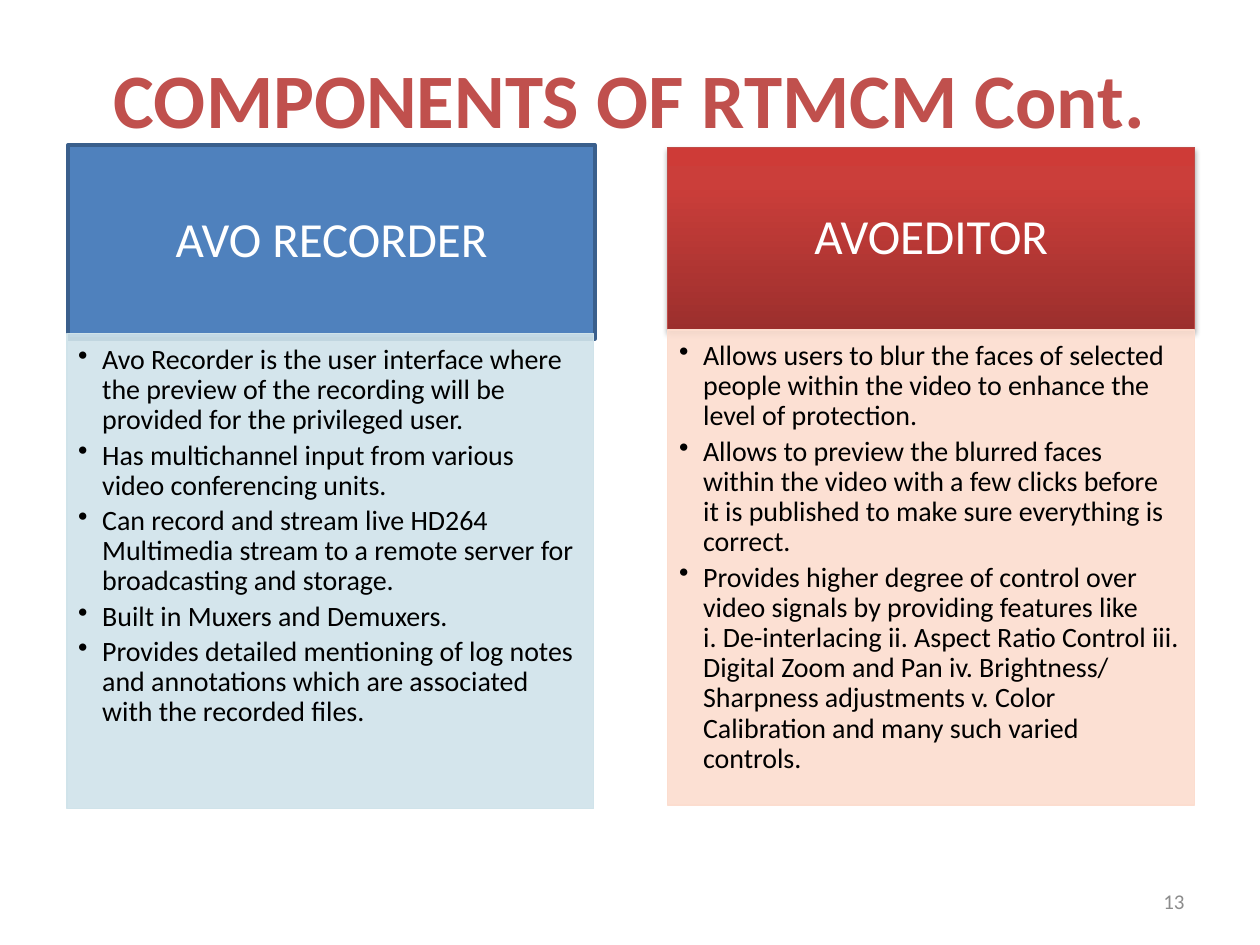
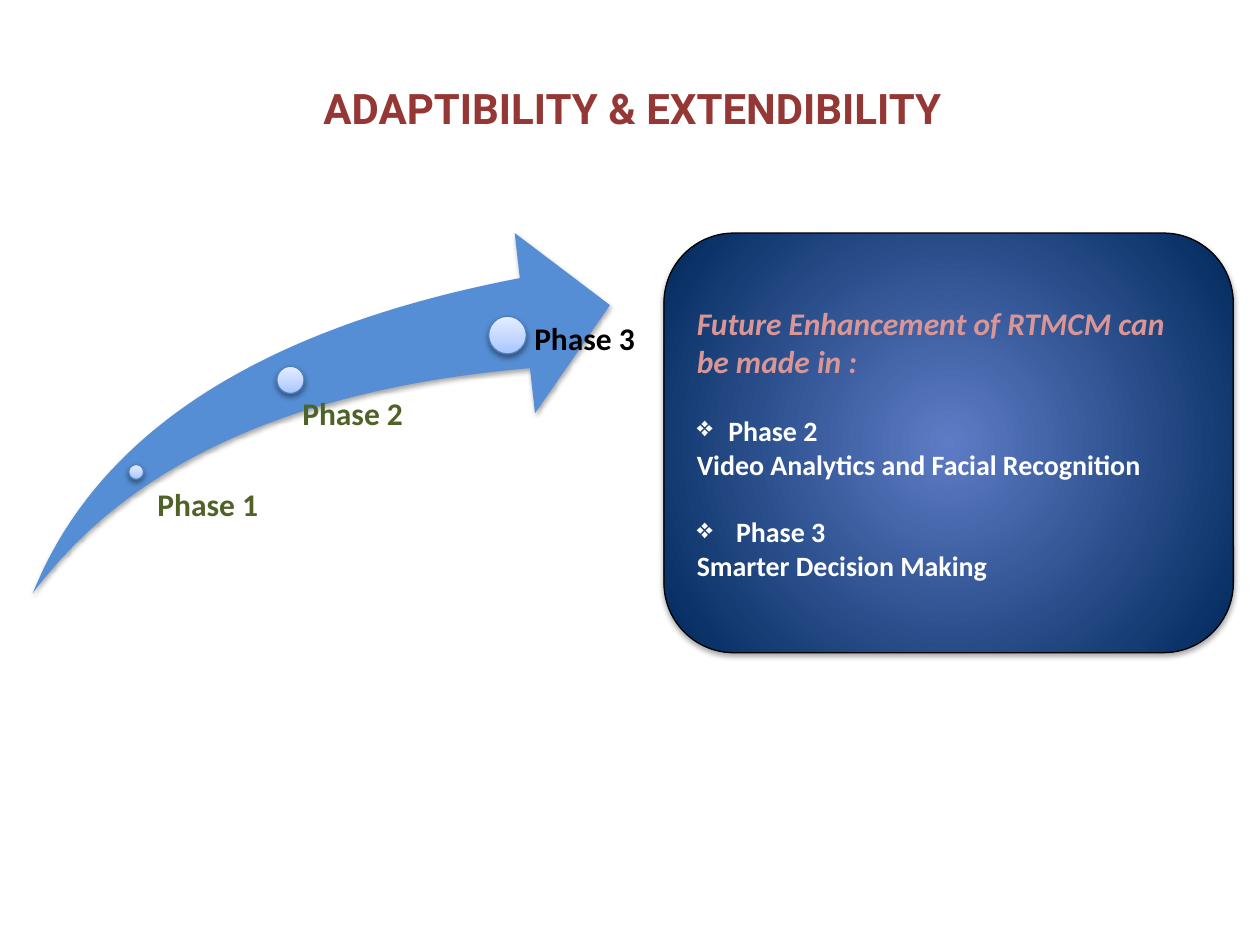
from lxml import etree
from pptx import Presentation
from pptx.dml.color import RGBColor
from pptx.enum.shapes import MSO_SHAPE
from pptx.enum.text import MSO_ANCHOR, PP_ALIGN
from pptx.oxml.ns import qn
from pptx.util import Pt

RECT, ROUNDED = MSO_SHAPE.RECTANGLE, MSO_SHAPE.ROUNDED_RECTANGLE
OVAL, SWOOSH = MSO_SHAPE.OVAL, MSO_SHAPE.SWOOSH_ARROW
TOP, MIDDLE = MSO_ANCHOR.TOP, MSO_ANCHOR.MIDDLE
LEFT, CENTER, RIGHT = PP_ALIGN.LEFT, PP_ALIGN.CENTER, PP_ALIGN.RIGHT

COLORS = {
    "red": "C0504D", "dark red": "953735", "grey": "8C8C8C",
    "white": "FFFFFF", "black": "000000", "olive": "4F6228", "pink": "D99694",
    "blue": "4F81BD", "blue edge": "3A5F8C", "red edge": "BF4C48",
    "pale blue": "D0E3EA", "pale red": "FCDDCF",
    "arrow": "558ED5", "dot edge": "4B7EBC",
}
RED_BAND = [(0, "9C2F2D"), (80, "CB3E3A"), (100, "CE3B37")]
DOT_GLOSS = [(0, "A4C4FF"), (35, "BFD4FF"), (100, "E6EEFF")]
PANEL_GLOW = [(0, "5E7CC5"), (100, "00295C")]

COMPONENTS = [
    {
        "heading": "AVO RECORDER", "fill": COLORS["blue"], "edge": ("blue edge", 2),
        "shadow": None, "tint": "pale blue",
        "heading box": (38.9, 82.8, 301, 110.9), "body at": (38.2, 190.8),
        "points": [
            "Avo Recorder is the user interface where the preview of the recording "
            "will be provided for the privileged user.",
            "Has multichannel input from various video conferencing units.",
            "Can record and stream live HD264 Multimedia stream to a remote server "
            "for broadcasting and storage.",
            "Built in Muxers and Demuxers.",
            "Provides detailed mentioning of log notes and annotations which are "
            "associated with the recorded files.",
        ],
    },
    {
        "heading": "AVOEDITOR", "fill": RED_BAND, "edge": ("red edge", 0.75),
        "shadow": 35, "tint": "pale red",
        "heading box": (381.6, 84.2, 301, 104.4), "body at": (381.6, 188.6),
        "points": [
            "Allows users to blur the faces of selected people within the video to "
            "enhance the level of protection.",
            "Allows to preview the blurred faces within the video with a few clicks "
            "before it is published to make sure everything is correct.",
            "Provides higher degree of control over video signals by providing "
            "features like\ni. De-interlacing ii. Aspect Ratio Control iii. Digital "
            "Zoom and Pan iv. Brightness/ Sharpness adjustments v. Color Calibration "
            "and many such varied controls.",
        ],
    },
]
BODY_SIZE = (301, 271.4)

# label, dot box, label box, label inset, label colour
PHASES = [
    ("Phase 1", (73.5, 265.4, 8.6, 8.6), (85.7, 279.4, 77, 59.8), 4.3, "olive"),
    ("Phase 2", (158.2, 209.3, 15.6, 15.6), (164.9, 227.5, 79.2, 112.3), 7.9, "olive"),
    ("Phase 3", (279.2, 180.7, 21.6, 21.6), (293.8, 185, 79.2, 143.3), 11.5, "black"),
]
ARROW_BOX = (18.7, 133.2, 329.8, 205.9)
PANEL_BOX = (379.4, 133.2, 325.4, 239.8)
PANEL_HEADING = "Future Enhancement of RTMCM can be made in :"
# name, hanging indent, detail
ENHANCEMENTS = [
    ("Phase 2", 18, "Video Analytics and Facial Recognition"),
    ("Phase 3", 22.5, "Smarter Decision Making"),
]
BLANK_LINE = 19.5


def points(values):
    return [Pt(value) for value in values]


def rgb(name):
    return RGBColor.from_string(COLORS[name])


def add_color(parent, value, alpha=None):
    color = etree.SubElement(parent, qn("a:srgbClr"), val=value)
    if alpha is not None:
        etree.SubElement(color, qn("a:alpha"), val=str(alpha * 1000))


def paint(shape, fill, alpha=None, radial=False):
    """Fill with one hex colour, or with a list of (percent, hex) stops."""
    shape.fill.solid()
    solid = shape._element.spPr.find(qn("a:solidFill"))
    if isinstance(fill, str):
        add_color(solid, fill, alpha)
        return
    gradient = etree.Element(qn("a:gradFill"), rotWithShape="1")
    stops = etree.SubElement(gradient, qn("a:gsLst"))
    for percent, value in fill:
        add_color(etree.SubElement(stops, qn("a:gs"), pos=str(percent * 1000)), value)
    if radial:
        route = etree.SubElement(gradient, qn("a:path"), path="circle")
        etree.SubElement(route, qn("a:fillToRect"),
                         {side: "50000" for side in "ltrb"})
    else:
        etree.SubElement(gradient, qn("a:lin"), ang=str(270 * 60000), scaled="0")
    solid.getparent().replace(solid, gradient)


def add_shape(slide, kind, box, fill, edge=None, shadow=None, alpha=None, radial=False):
    """edge is (colour name, width); shadow is its opacity in percent."""
    shape = slide.shapes.add_shape(kind, *points(box))
    paint(shape, fill, alpha, radial)
    if edge:
        shape.line.color.rgb = rgb(edge[0])
        shape.line.width = Pt(edge[1])
    else:
        shape.line.fill.background()
    shape.shadow.inherit = False
    if shadow:
        effects = shape._element.spPr.find(qn("a:effectLst"))
        outer = etree.SubElement(effects, qn("a:outerShdw"), blurRad=str(Pt(3.1)),
                                 dist=str(Pt(1.8)), dir="5400000", rotWithShape="0")
        add_color(outer, COLORS["black"], shadow)
    return shape


def style(para, size, color, bold=False, italic=False, align=LEFT, font="Calibri"):
    para.alignment = align
    for span in para.runs:
        span.font.name, span.font.size = font, Pt(size)
        span.font.bold, span.font.italic = bold, italic
        span.font.color.rgb = rgb(color)


def add_bullet(para, mark, indent):
    settings = para._p.get_or_add_pPr()
    settings.set("marL", str(Pt(indent)))
    settings.set("indent", str(-Pt(indent)))
    etree.SubElement(settings, qn("a:buChar"), char=mark)


def set_frame(shape, anchor, insets=(7.2, 3.6, 7.2, 3.6)):
    frame = shape.text_frame
    frame.word_wrap = True
    frame.vertical_anchor = anchor
    (frame.margin_left, frame.margin_top,
     frame.margin_right, frame.margin_bottom) = points(insets)
    return frame


def write_lines(frame, lines):
    frame.text = lines[0]
    for line in lines[1:]:
        frame.add_paragraph().text = line
    return frame.paragraphs


def add_text(slide, box, text, anchor=TOP, insets=(7.2, 3.6, 7.2, 3.6), **look):
    frame = set_frame(slide.shapes.add_textbox(*points(box)), anchor, insets)
    frame.text = text
    style(frame.paragraphs[0], **look)
    return frame.paragraphs[0]


def add_titled_slide(deck, text, box, size, color, font="Calibri"):
    slide = deck.slides.add_slide(deck.slide_layouts[5])
    title = slide.shapes.title
    title.left, title.top, title.width, title.height = points(box)
    frame = set_frame(title, MIDDLE)
    frame.text = text
    style(frame.paragraphs[0], size, color, bold=True, align=CENTER, font=font)
    return slide


def add_component(slide, component):
    band = add_shape(slide, RECT, component["heading box"], component["fill"],
                     component["edge"], component["shadow"])
    frame = set_frame(band, MIDDLE, (15.8, 8.6, 15.8, 8.6))
    frame.text = component["heading"]
    frame.paragraphs[0].line_spacing = 0.9
    style(frame.paragraphs[0], 28, "white", align=CENTER)

    tint = component["tint"]
    body = add_shape(slide, RECT, component["body at"] + BODY_SIZE, COLORS[tint],
                     (tint, 0.75), alpha=90)
    frame = set_frame(body, TOP, (6.5, 6.5, 8.6, 10.1))
    for para in write_lines(frame, component["points"]):
        para.line_spacing = 0.9
        para.space_after = Pt(2.9)
        style(para, 16, "black")
        add_bullet(para, "•", 13.7)


def add_enhancement_panel(slide):
    panel = add_shape(slide, ROUNDED, PANEL_BOX, PANEL_GLOW, ("black", 0.75), 35,
                      radial=True)
    frame = set_frame(panel, MIDDLE)
    frame.text = PANEL_HEADING
    style(frame.paragraphs[0], 18, "pink", bold=True, italic=True)
    for name, indent, detail in ENHANCEMENTS:
        for text in (name, detail):
            para = frame.add_paragraph()
            para.text = text
            style(para, 16, "white", bold=True)
            if text == name:
                para.space_before = Pt(BLANK_LINE)
                add_bullet(para, "❖", indent)


def build_components(deck):
    slide = add_titled_slide(deck, "COMPONENTS OF RTMCM Cont.", (36, 21.6, 648, 68.4),
                             44, "red")
    add_text(slide, (516, 500.5, 168, 28.8), "13", MIDDLE,
             size=12, color="grey", align=RIGHT)
    for component in COMPONENTS:
        add_component(slide, component)


def build_phases(deck):
    slide = add_titled_slide(deck, "ADAPTIBILITY & EXTENDIBILITY", (37.4, 16.6, 648, 90),
                             24, "dark red", "Roboto")
    arrow = add_shape(slide, SWOOSH, ARROW_BOX, COLORS["arrow"], shadow=35)
    arrow.adjustments[0] = arrow.adjustments[1] = 0.25
    for label, dot_box, label_box, inset, color in PHASES:
        add_shape(slide, OVAL, dot_box, DOT_GLOSS, ("dot edge", 0.75), 38)
        para = add_text(slide, label_box, label, insets=(inset, 0, 0, 0),
                        size=18, color=color, bold=True)
        para.line_spacing = 0.9
    add_enhancement_panel(slide)


def main():
    deck = Presentation()
    deck.slide_width, deck.slide_height = Pt(720), Pt(540)
    build_components(deck)
    build_phases(deck)
    deck.save("out.pptx")


if __name__ == "__main__":
    main()
